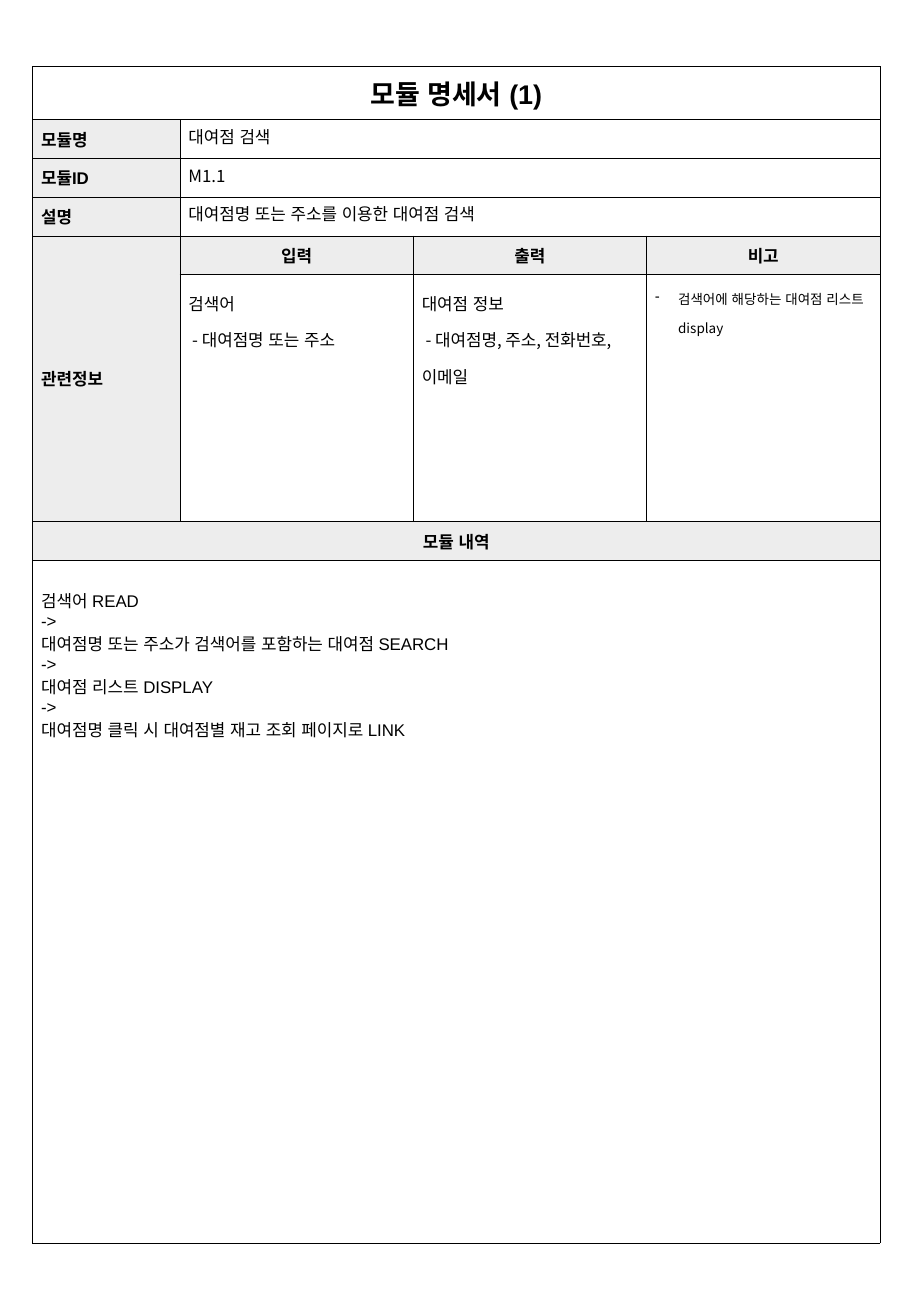
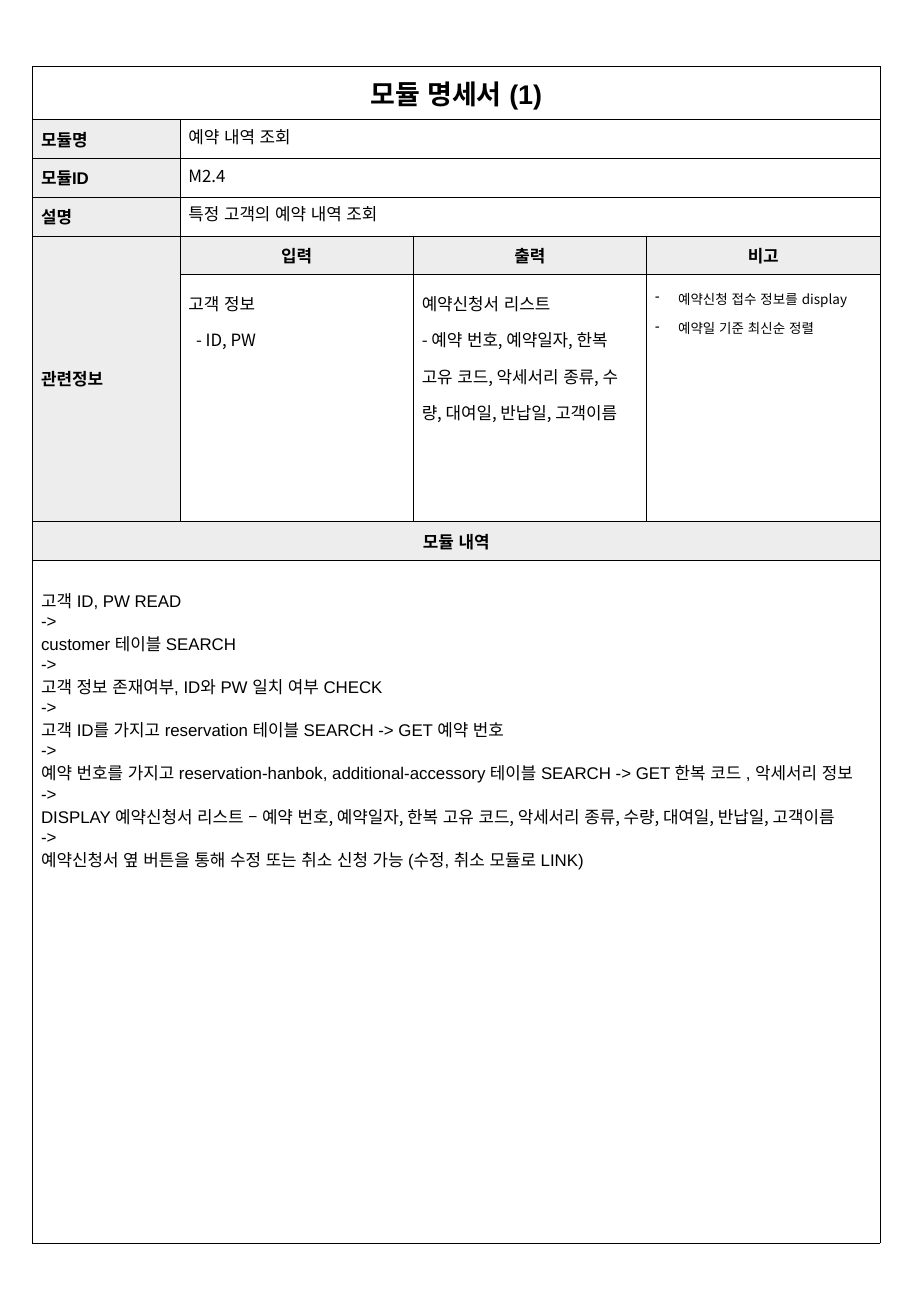
"""Build the module specification sheets, one table per slide."""
from dataclasses import dataclass

from lxml.etree import SubElement
from pptx import Presentation
from pptx.dml.color import RGBColor
from pptx.enum.lang import MSO_LANGUAGE_ID
from pptx.enum.text import MSO_ANCHOR, PP_ALIGN
from pptx.oxml.ns import qn
from pptx.util import Cm, Pt


@dataclass(frozen=True)
class Theme:
    ink: RGBColor = RGBColor(0x00, 0x00, 0x00)
    paper: RGBColor = RGBColor(0xFF, 0xFF, 0xFF)
    label_fill: RGBColor = RGBColor(0xED, 0xED, 0xED)
    label_font: str = "Arial"
    body_font: str = "Noto Sans CJK KR"
    title_size: Pt = Pt(16)
    text_size: Pt = Pt(10)
    note_size: Pt = Pt(8)
    border_width: Pt = Pt(0.25)
    side_inset: Cm = Cm(0.18)
    end_inset: Cm = Cm(0.09)
    steps_inset: Cm = Cm(0.58)
    note_indent: Cm = Cm(0.48)


@dataclass(frozen=True)
class Line:
    text: str
    indent: Cm = Cm(0)
    tail: str = ""


@dataclass(frozen=True)
class Module:
    name: str
    code: str
    description: str
    inputs: list
    outputs: list
    notes: list
    steps: list


THEME = Theme()
SLIDE_SIZE = Cm(19.05), Cm(27.51)
TABLE_CORNER = Cm(0.68), Cm(1.39)
COLUMN_WIDTHS = [Cm(3.08)] + [Cm(4.88)] * 3
ROW_HEIGHTS = [Cm(1.11)] + [Cm(0.81)] * 4 + [Cm(5.16), Cm(0.81), Cm(14.28)]
TITLE_ROW, FIRST_FIELD_ROW, HEADER_ROW, DETAIL_ROW, STEPS_HEADER_ROW, STEPS_ROW = 0, 1, 4, 5, 6, 7

MODULES = [
    Module(
        name="대여점 검색",
        code="M1.1",
        description="대여점명 또는 주소를 이용한 대여점 검색",
        inputs=[Line("검색어"), Line("- 대여점명 또는 주소", Cm(0.08))],
        outputs=[Line("대여점 정보"), Line("- 대여점명, 주소, 전화번호, 이메일", Cm(0.08))],
        notes=[Line("검색어에 해당하는 대여점 리스트 display")],
        steps=[
            Line("검색어 READ"),
            Line("대여점명 또는 주소가 검색어를 포함하는 대여점 SEARCH"),
            Line("대여점 리스트 DISPLAY"),
            Line("대여점명 클릭 시 대여점별 재고 조회 페이지로 LINK"),
        ],
    ),
    Module(
        name="예약 내역 조회",
        code="M2.4",
        description="특정 고객의 예약 내역 조회",
        inputs=[Line("고객 정보"), Line("- ID, PW", Cm(0.16))],
        outputs=[
            Line("예약신청서 리스트"),
            Line("- 예약 번호, 예약일자, 한복 고유 코드, 악세서리 종류, 수량, 대여일, 반납일, 고객이름"),
        ],
        notes=[Line("예약신청 접수 정보를 display"), Line("예약일 기준 최신순 정렬")],
        steps=[
            Line("고객 ID, PW READ"),
            Line("customer 테이블 SEARCH"),
            Line("고객 정보 존재여부, ID와 PW 일치 여부 CHECK"),
            Line("고객 ID를 가지고 reservation 테이블 SEARCH -> GET 예약 번호"),
            Line("예약 번호를 가지고 reservation-hanbok, additional-accessory 테이블 "
                 "SEARCH -> GET 한복 코드 , 악세서리 정보"),
            Line("DISPLAY 예약신청서 리스트 ",
                 tail="– 예약 번호, 예약일자, 한복 고유 코드, 악세서리 종류, 수량, 대여일, 반납일, 고객이름"),
            Line("예약신청서 옆 버튼을 통해 수정 또는 취소 신청 가능 (수정, 취소 모듈로 LINK)"),
        ],
    ),
]


def add_run(paragraph, text, font_name, size, bold=False):
    """Add one formatted run, with the Korean face set for East Asian text."""
    run = paragraph.add_run()
    run.text = text
    font = run.font
    font.name, font.size, font.bold = font_name, size, bold
    font.color.rgb = THEME.ink
    font.language_id = MSO_LANGUAGE_ID.KOREAN
    latin = run._r.rPr.find(qn("a:latin"))
    east_asian = latin.makeelement(qn("a:ea"), {"typeface": THEME.body_font})
    latin.addnext(east_asian)


def indent_paragraph(paragraph, first_line, left=Cm(0), bullet=""):
    """Set the indents of a paragraph and, if given, its bullet character."""
    properties = paragraph._p.get_or_add_pPr()
    properties.set("marL", str(int(left)))
    properties.set("indent", str(int(first_line)))
    if bullet:
        SubElement(properties, qn("a:buChar"), char=bullet)


def fill_paragraphs(cell):
    """Yield the first paragraph of a cell, then new ones."""
    yield cell.text_frame.paragraphs[0]
    while True:
        yield cell.text_frame.add_paragraph()


def write_label(cell, text, centred=False, fill=THEME.label_fill, size=THEME.text_size):
    """Write a bold label in the vertical middle of a shaded cell."""
    cell.fill.solid()
    cell.fill.fore_color.rgb = fill
    cell.vertical_anchor = MSO_ANCHOR.MIDDLE
    paragraph = cell.text_frame.paragraphs[0]
    paragraph.alignment = PP_ALIGN.CENTER if centred else PP_ALIGN.LEFT
    add_run(paragraph, text, THEME.label_font, size, bold=True)


def write_lines(cell, lines):
    """Write widely spaced body lines."""
    for line, paragraph in zip(lines, fill_paragraphs(cell)):
        indent_paragraph(paragraph, line.indent)
        paragraph.line_spacing = 1.5
        add_run(paragraph, line.text, THEME.body_font, THEME.text_size)


def write_notes(cell, notes):
    """Write small notes as a dashed list."""
    for note, paragraph in zip(notes, fill_paragraphs(cell)):
        indent_paragraph(paragraph, -THEME.note_indent, THEME.note_indent, "-")
        paragraph.line_spacing = 1.5
        add_run(paragraph, note.text, THEME.body_font, THEME.note_size)


def write_steps(cell, steps):
    """Write the processing steps with an arrow line between them."""
    cell.margin_top = THEME.steps_inset
    lines = [steps[0]]
    for step in steps[1:]:
        lines += [Line("->"), step]
    for line, paragraph in zip(lines, fill_paragraphs(cell)):
        add_run(paragraph, line.text, THEME.label_font, THEME.text_size)
        if line.tail:
            add_run(paragraph, line.tail, THEME.body_font, THEME.text_size)


def format_cell(cell):
    """Give a cell its insets, thin borders and paper fill."""
    cell.margin_left = cell.margin_right = THEME.side_inset
    cell.margin_top = cell.margin_bottom = THEME.end_inset
    properties = cell._tc.get_or_add_tcPr()
    for side in ("a:lnL", "a:lnR", "a:lnT", "a:lnB"):
        border = SubElement(properties, qn(side), w=str(int(THEME.border_width)))
        colour = SubElement(border, qn("a:solidFill"))
        SubElement(colour, qn("a:srgbClr"), val=str(THEME.ink))
    cell.fill.solid()
    cell.fill.fore_color.rgb = THEME.paper


def add_grid(slide):
    """Add the empty form table with its merged cells."""
    frame = slide.shapes.add_table(
        len(ROW_HEIGHTS), len(COLUMN_WIDTHS), *TABLE_CORNER, sum(COLUMN_WIDTHS), sum(ROW_HEIGHTS)
    )
    table = frame.table
    table.first_row = table.horz_banding = False
    for column, width in zip(table.columns, COLUMN_WIDTHS):
        column.width = width
    for row, height in zip(table.rows, ROW_HEIGHTS):
        row.height = height
    for cell in table.iter_cells():
        format_cell(cell)
    last_column = len(COLUMN_WIDTHS) - 1
    for row in (TITLE_ROW, STEPS_HEADER_ROW, STEPS_ROW):
        table.cell(row, 0).merge(table.cell(row, last_column))
    for row in range(FIRST_FIELD_ROW, HEADER_ROW):
        table.cell(row, 1).merge(table.cell(row, last_column))
    table.cell(HEADER_ROW, 0).merge(table.cell(DETAIL_ROW, 0))
    return table


def add_module_sheet(presentation, module):
    """Add one slide that specifies a module."""
    slide = presentation.slides.add_slide(presentation.slide_layouts[6])
    table = add_grid(slide)
    write_label(table.cell(TITLE_ROW, 0), "모듈 명세서 (1)", True, THEME.paper, THEME.title_size)
    fields = [("모듈명", module.name), ("모듈ID", module.code), ("설명", module.description)]
    for row, (label, value) in enumerate(fields, FIRST_FIELD_ROW):
        write_label(table.cell(row, 0), label)
        add_run(table.cell(row, 1).text_frame.paragraphs[0], value, THEME.body_font, THEME.text_size)
    write_label(table.cell(HEADER_ROW, 0), "관련정보")
    details = [
        ("입력", write_lines, module.inputs),
        ("출력", write_lines, module.outputs),
        ("비고", write_notes, module.notes),
    ]
    for column, (heading, write, lines) in enumerate(details, 1):
        write_label(table.cell(HEADER_ROW, column), heading, True)
        write(table.cell(DETAIL_ROW, column), lines)
    write_label(table.cell(STEPS_HEADER_ROW, 0), "모듈 내역", True)
    write_steps(table.cell(STEPS_ROW, 0), module.steps)


def main():
    """Build and save the presentation."""
    presentation = Presentation()
    presentation.slide_width, presentation.slide_height = SLIDE_SIZE
    for module in MODULES:
        add_module_sheet(presentation, module)
    presentation.save("out.pptx")


if __name__ == "__main__":
    main()
